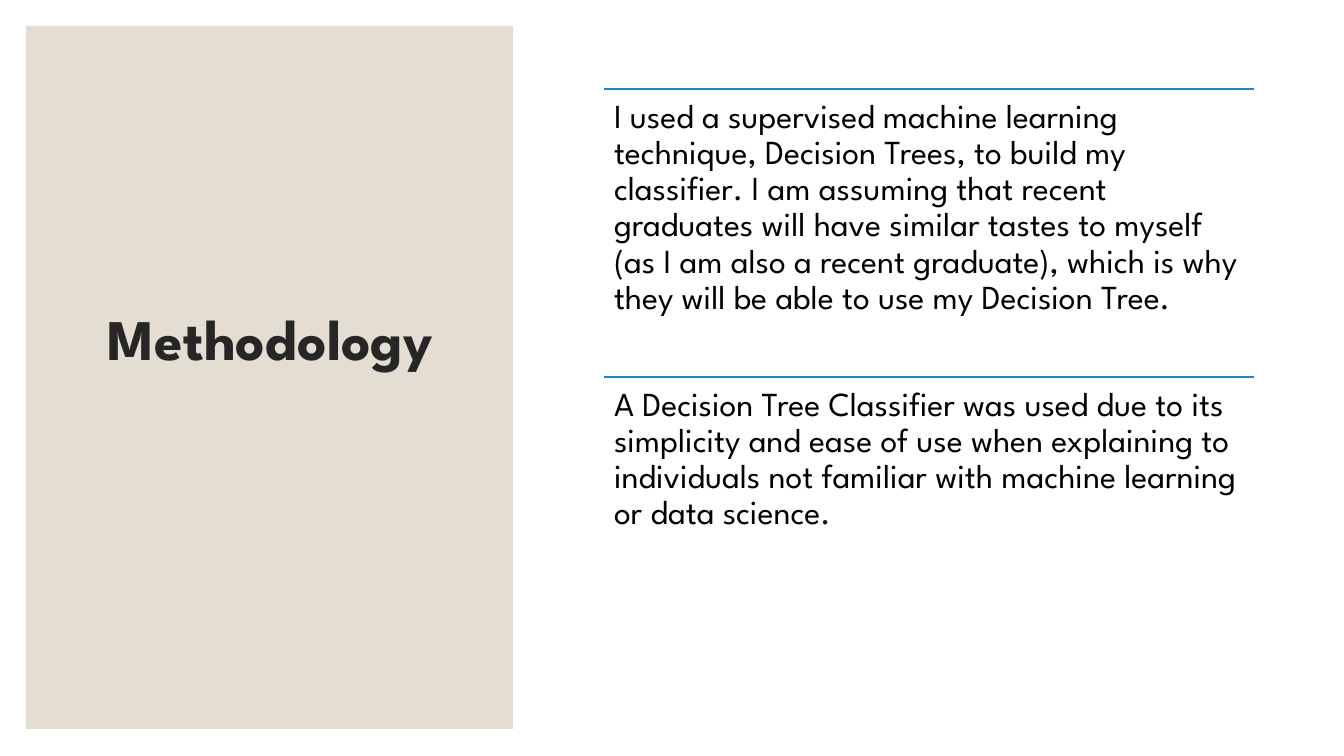
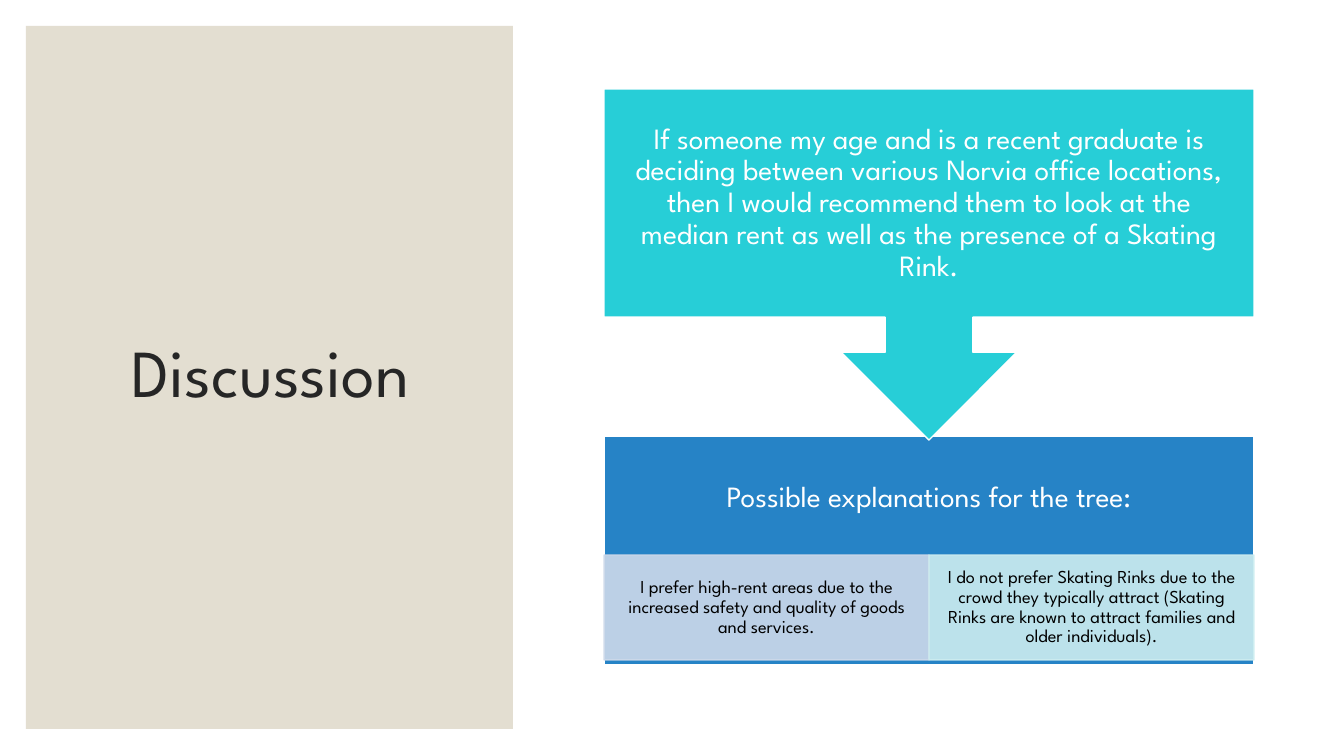
"""Build the Methodology and Discussion slides."""
from lxml import etree
from pptx import Presentation
from pptx.dml.color import RGBColor
from pptx.enum.shapes import MSO_CONNECTOR, MSO_SHAPE
from pptx.enum.text import MSO_ANCHOR, MSO_AUTO_SIZE, PP_ALIGN
from pptx.oxml.ns import qn
from pptx.util import Emu, Pt

RECTANGLE, CALLOUT = MSO_SHAPE.RECTANGLE, MSO_SHAPE.DOWN_ARROW_CALLOUT
STRAIGHT = MSO_CONNECTOR.STRAIGHT
TOP, MIDDLE = MSO_ANCHOR.TOP, MSO_ANCHOR.MIDDLE
LEFT, CENTER = PP_ALIGN.LEFT, PP_ALIGN.CENTER
NO_AUTOFIT = MSO_AUTO_SIZE.NONE

SLIDE_WIDTH, SLIDE_HEIGHT = 1344, 756
EMU_PER_PX = 12192000 / SLIDE_WIDTH
FONT = "League Spartan"
WHITE, BLACK, INK = "FFFFFF", "000000", "262626"
SAND, BLUE, TURQUOISE = "E3DED1", "2683C6", "27CED7"

PANEL = (26, 26, 487, 703)
TITLE_LEFT, TITLE_TOP, TITLE_WIDTH, TITLE_HEIGHT = 63, 61, 415, 629
CONTENT_LEFT, CONTENT_TOP, CONTENT_WIDTH = 604, 89, 650
STATEMENT_HEIGHT = 288
CALLOUT_HEIGHT = 351
EXPLANATION_TOP, EXPLANATION_HEIGHT = 436, 229
REASON_TOP, REASON_HEIGHT = 555, 105

STATEMENTS = [
    "I used a supervised machine learning technique, Decision Trees, to build my "
    "classifier. I am assuming that recent graduates will have similar tastes to "
    "myself (as I am also a recent graduate), which is why they will be able to "
    "use my Decision Tree.",
    "A Decision Tree Classifier was used due to its simplicity and ease of use "
    "when explaining to individuals not familiar with machine learning or data "
    "science.",
]
RECOMMENDATION = (
    "If someone my age and is a recent graduate is deciding between various "
    "Norvia office locations, then I would recommend them to look at the median "
    "rent as well as the presence of a Skating Rink."
)
EXPLANATION = "Possible explanations for the tree:"
REASONS = [
    ("I prefer high-rent areas due to the increased safety and quality of goods "
     "and services.", "CDD9EA"),
    ("I do not prefer Skating Rinks due to the crowd they typically attract "
     "(Skating Rinks are known to attract families and older individuals).",
     "CDEDF0"),
]


def px(*lengths):
    return [Emu(round(length * EMU_PER_PX)) for length in lengths]


def rgb(value):
    return RGBColor.from_string(value)


def write(shape, text, size, color, align=CENTER, anchor=MIDDLE,
          insets=(10, 5, 10, 5), bold=False):
    frame = shape.text_frame
    frame.word_wrap = True
    frame.auto_size = NO_AUTOFIT
    frame.vertical_anchor = anchor
    (frame.margin_left, frame.margin_top,
     frame.margin_right, frame.margin_bottom) = px(*insets)
    paragraph = frame.paragraphs[0]
    paragraph.alignment = align
    paragraph.line_spacing = 0.9
    run = paragraph.add_run()
    run.text = text
    run.font.name = FONT
    run.font.size = Pt(size)
    run.font.bold = bold
    run.font.color.rgb = rgb(color)


def add_block(slide, kind, box, fill, line=None, opacity=100):
    shape = slide.shapes.add_shape(kind, *px(*box))
    shape.shadow.inherit = False
    shape.fill.solid()
    shape.fill.fore_color.rgb = rgb(fill)
    if line:
        shape.line.color.rgb = rgb(line)
        shape.line.width = Pt(1)
    else:
        shape.line.fill.background()
    if opacity < 100:
        for color in shape.element.spPr.iter(qn("a:srgbClr")):
            etree.SubElement(color, qn("a:alpha"), val=str(opacity * 1000))
    return shape


def add_rule(slide, top):
    rule = slide.shapes.add_connector(
        STRAIGHT, *px(CONTENT_LEFT, top, CONTENT_LEFT + CONTENT_WIDTH, top))
    rule.line.color.rgb = rgb(BLUE)
    rule.line.width = Pt(1)
    etree.SubElement(rule.element.spPr, qn("a:effectLst"))


def add_titled_slide(presentation, text, size, bold=False, rise=0):
    slide = presentation.slides.add_slide(presentation.slide_layouts[5])
    title = slide.shapes.title
    title.left, title.top, title.width, title.height = px(
        TITLE_LEFT, TITLE_TOP - rise, TITLE_WIDTH, TITLE_HEIGHT)
    write(title, text, size, INK, bold=bold)
    panel = add_block(slide, RECTANGLE, PANEL, SAND)
    title.element.addprevious(panel.element)
    return slide


def build_methodology(presentation):
    slide = add_titled_slide(presentation, "Methodology", 41, bold=True, rise=34)
    for index, statement in enumerate(STATEMENTS):
        top = CONTENT_TOP + index * STATEMENT_HEIGHT
        add_rule(slide, top)
        box = slide.shapes.add_textbox(
            *px(CONTENT_LEFT, top, CONTENT_WIDTH, STATEMENT_HEIGHT))
        write(box, statement, 24, BLACK, LEFT, TOP, (10, 10, 10, 10))


def build_discussion(presentation):
    slide = add_titled_slide(presentation, "Discussion", 48)
    explanation = add_block(
        slide, RECTANGLE,
        (CONTENT_LEFT, EXPLANATION_TOP, CONTENT_WIDTH, EXPLANATION_HEIGHT),
        BLUE, WHITE)
    below_heading = EXPLANATION_TOP + EXPLANATION_HEIGHT - REASON_TOP
    write(explanation, EXPLANATION, 21, WHITE,
          insets=(16, 16, 16, below_heading + 12))
    reason_width = CONTENT_WIDTH // len(REASONS)
    for index, (text, color) in enumerate(REASONS):
        left = CONTENT_LEFT + index * reason_width
        reason = add_block(
            slide, RECTANGLE, (left, REASON_TOP, reason_width, REASON_HEIGHT),
            color, color, opacity=90)
        write(reason, text, 13, BLACK, insets=(10, 2, 10, 2))
    callout = add_block(
        slide, CALLOUT,
        (CONTENT_LEFT, CONTENT_TOP, CONTENT_WIDTH, CALLOUT_HEIGHT),
        TURQUOISE, WHITE)
    write(callout, RECOMMENDATION, 21, WHITE, insets=(16, 16, 16, 16))


def main():
    presentation = Presentation()
    presentation.slide_width, presentation.slide_height = px(
        SLIDE_WIDTH, SLIDE_HEIGHT)
    build_methodology(presentation)
    build_discussion(presentation)
    presentation.save("out.pptx")


if __name__ == "__main__":
    main()
